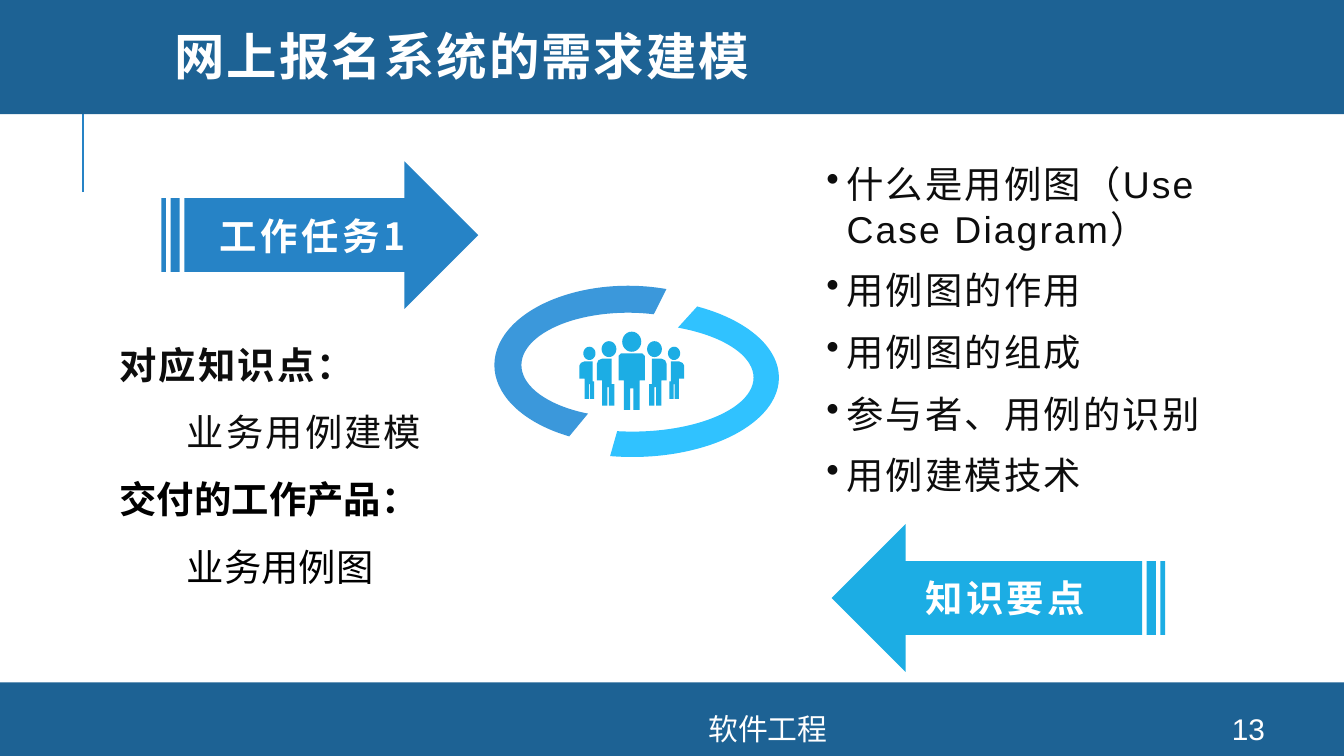
"""Build the slide on requirements modelling for the sign-up system."""
import math

import lxml.etree
import pptx
import pptx.dml.color
import pptx.enum.shapes
import pptx.enum.text
import pptx.oxml.ns
import pptx.util

Cm, Pt = pptx.util.Cm, pptx.util.Pt
Kind = pptx.enum.shapes.MSO_SHAPE
Align = pptx.enum.text.PP_ALIGN
Anchor = pptx.enum.text.MSO_ANCHOR
qn = pptx.oxml.ns.qn


class Theme:
    """Colours, fonts and type sizes."""
    band, blue, cyan = "1D6294", "2683C6", "1CADE4"
    ringblue, ringcyan = "3B98DB", "30C2FF"
    white, ink, black = "FFFFFF", "0D0D0D", "000000"
    body, head, label = "Arial", "Montserrat", "Noto Sans CJK SC"
    large, mid, small = 27, 20, 16


BANDS = [(0, 12.9, 25.4, 1.39), (0, -0.08, 25.4, 2.24)]
ARROWS = [
    ("工作任务1", (3.05, 3.05, 5.99, 2.79), Theme.blue, False),
    ("知识要点", (15.72, 9.91, 6.3, 2.79), Theme.cyan, True),
]
RINGS = [
    ((11.95, 7.14), (3, 5.54), 90, (133.4, 9.5, 0.16), Theme.ringcyan),
    ((11.87, 6.9), (3, 5.05), 270, (131.7, 16.1, 0.17), Theme.ringblue),
]
TITLE = "网上报名系统的需求建模"
TASKS = [
    ("对应知识点：", 0, Theme.ink, 1.1),
    ("业务用例建模", 1, Theme.ink, 1.1),
    ("交付的工作产品：", 0, Theme.black, 0),
    ("业务用例图", 1, Theme.black, 0),
]
POINTS = ["什么是用例图（Use Case Diagram）", "用例图的作用", "用例图的组成",
          "参与者、用例的识别", "用例建模技术"]
FOOT = [("13", (22.58, 13.49, 2.03, 0.58)),
        ("软件工程", (6.63, 13.49, 15.77, 0.58))]

AXIS = 1194
HEADS = [(0, 646, 18, 19), (43, 660, 14, 15), (80, 668, 11.5, 12.5)]
CHEST = [(20, 668), (25, 673), (25, 719), (15, 719), (15, 775), (3, 775),
         (3, 734)]
SIDES = [
    [(33, 726), (33, 767), (43, 767), (43, 732), (46, 732), (46, 767),
     (56, 767), (56, 719), (66, 719), (66, 688), (63, 681), (56, 678),
     (38, 678), (38, 726)],
    [(71, 721), (71, 754), (79, 754), (79, 726), (81, 726), (81, 754),
     (89, 754), (89, 716), (99, 716), (99, 691), (96, 686), (89, 683),
     (74, 683), (74, 721)],
]


def paint(shape, color):
    shape.shadow.inherit = False
    shape.fill.solid()
    shape.fill.fore_color.rgb = pptx.dml.color.RGBColor.from_string(color)
    shape.line.fill.background()


def draw(slide, kind, box, color):
    shape = slide.shapes.add_shape(kind, *map(Cm, box))
    paint(shape, color)
    return shape


def write(para, text, size, color, face=Theme.body, bold=False, gap=0):
    run = para.add_run()
    run.text = text
    font = run.font
    font.name, font.size, font.bold = face, Pt(size), bold
    font.color.rgb = pptx.dml.color.RGBColor.from_string(color)
    mark = font._element
    if gap:
        mark.set("spc", str(round(gap * 100)))
    if face == Theme.label:
        lxml.etree.SubElement(mark, qn("a:ea")).set("typeface", face)


def frame(slide, box, anchor=Anchor.TOP):
    text = slide.shapes.add_textbox(*map(Cm, box)).text_frame
    text.word_wrap, text.vertical_anchor = True, anchor
    return text


def lines(text, items):
    for num, item in enumerate(items):
        yield num, text.add_paragraph() if num else text.paragraphs[0], item


def indent(para, left, hang=0):
    props = para._p.get_or_add_pPr()
    props.set("marL", str(Cm(left)))
    props.set("indent", str(Cm(hang)))
    return props


def crowd(slide):
    def flip(outline):
        return [(-x, y) for x, y in outline]

    def oval(x, y, wide, high):
        turns = [math.tau * n / 24 for n in range(24)]
        return [(x + wide * math.cos(t), y + high * math.sin(t)) for t in turns]

    heads = [oval(*head) for head in HEADS]
    pairs = heads[1:] + SIDES
    forms = [heads[0], CHEST + flip(CHEST[::-1])] + pairs + [flip(p) for p in pairs]
    pen = None
    for form in forms:
        spots = [((AXIS + x) * 10, y * 10) for x, y in form]
        if pen is None:
            pen = slide.shapes.build_freeform(*spots[0], scale=Cm(0.01) / 10)
        else:
            pen.move_to(*spots[0])
        pen.add_line_segments(spots[1:], close=True)
    paint(pen.convert_to_shape(), Theme.cyan)


def main():
    deck = pptx.Presentation()
    deck.slide_width, deck.slide_height = Cm(25.4), Cm(14.29)
    slide = deck.slides.add_slide(deck.slide_layouts[6])

    rule = slide.shapes.add_connector(
        pptx.enum.shapes.MSO_CONNECTOR.STRAIGHT, *map(Cm, (1.57, 3.63, 1.57, 1.73)))
    rule.line.width = Pt(1.5)
    rule.line.color.rgb = pptx.dml.color.RGBColor.from_string(Theme.blue)
    lxml.etree.SubElement(rule._element.spPr, qn("a:effectLst"))

    for box in BANDS:
        draw(slide, Kind.RECTANGLE, box, Theme.band)

    for label, box, color, turned in ARROWS:
        arrow = draw(slide, Kind.STRIPED_RIGHT_ARROW, box, color)
        if turned:
            arrow._element.spPr.find(qn("a:xfrm")).set("flipH", "1")
        arrow.text_frame.vertical_anchor = Anchor.MIDDLE
        para = arrow.text_frame.paragraphs[0]
        para.alignment = Align.CENTER
        write(para, label, Theme.mid, Theme.white, Theme.label, True, 1.9)

    for (x, y), (wide, high), turn, bends, color in RINGS:
        box = (x - wide / 2, y - high / 2, wide, high)
        ring = draw(slide, Kind.BLOCK_ARC, box, color)
        ring.rotation = turn
        for num, bend in enumerate(bends):
            ring.adjustments[num] = bend

    crowd(slide)

    text = frame(slide, (2.01, 5.92, 7.34, 5.38))
    for _, para, (words, level, color, gap) in lines(text, TASKS):
        para.level, para.line_spacing = level, 1.5
        indent(para, 1.27 * level)
        write(para, words, Theme.mid, color, bold=not level, gap=gap)

    para = frame(slide, (3.05, 0, 21.56, 2.31), Anchor.MIDDLE).paragraphs[0]
    para.line_spacing = 0.8
    write(para, TITLE, Theme.large, Theme.white, Theme.head, True, 1.1)

    text = frame(slide, (15.37, 2.92, 9.5, 6.65))
    for num, para, words in lines(text, POINTS):
        props = indent(para, 0.38, -0.38)
        lxml.etree.SubElement(props, qn("a:buChar")).set("char", "•")
        para.space_before = Pt(9 if num else 0)
        write(para, words, Theme.mid, Theme.ink, gap=1.1)

    for words, box in FOOT:
        para = frame(slide, box, Anchor.MIDDLE).paragraphs[0]
        para.alignment = Align.CENTER
        write(para, words, Theme.small, Theme.white)

    deck.save("out.pptx")


if __name__ == "__main__":
    main()
